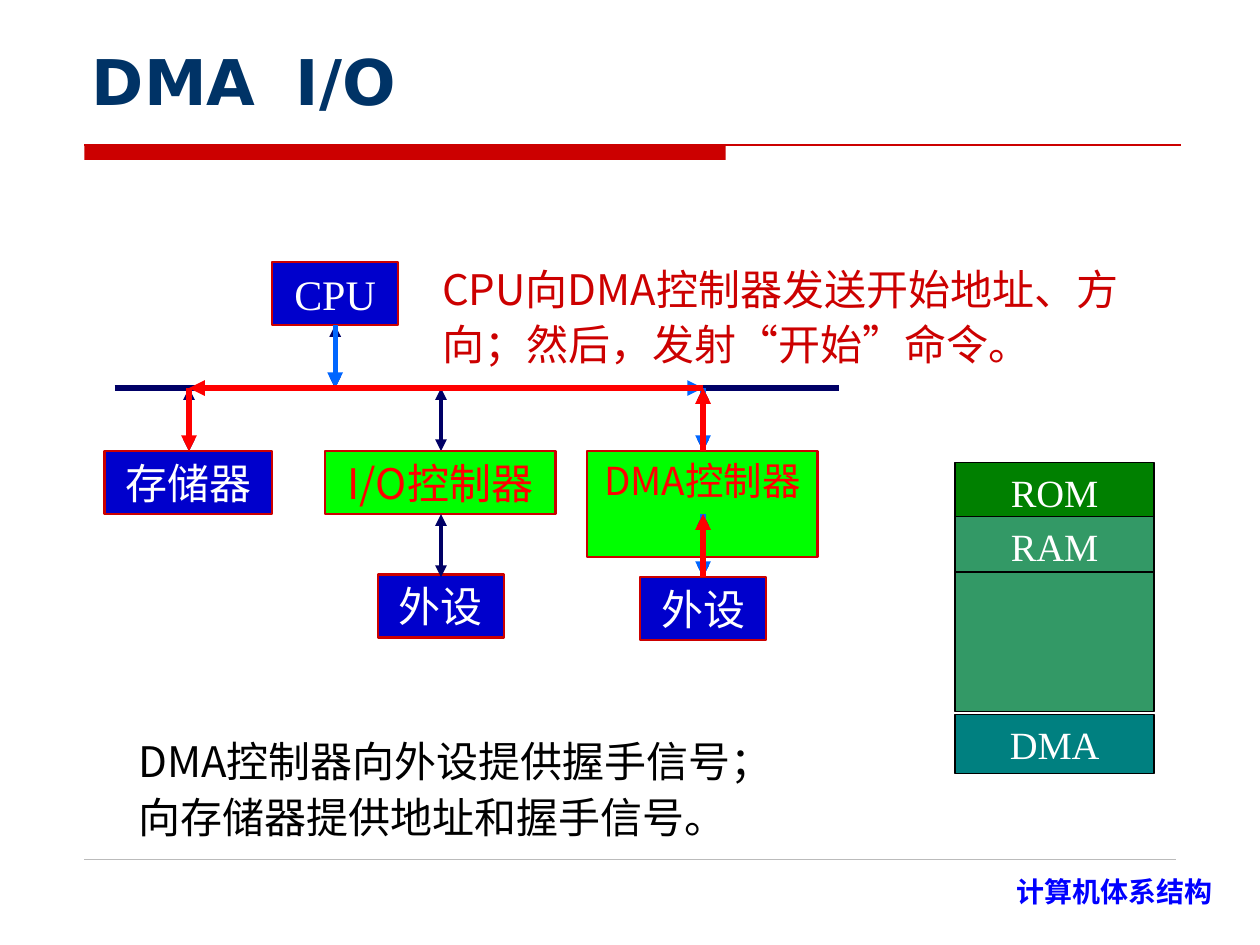
from lxml import etree
from pptx import Presentation
from pptx.dml.color import RGBColor
from pptx.enum import shapes, text
from pptx.oxml import ns
from pptx.util import Inches, Pt

HUES = {
    "title": "003366", "rule": "CC0000", "foot": "0000FF", "hair": "BBBBBB",
    "navy": "000066", "box": "0000CC", "lime": "00FF00", "red": "FF0000",
    "sky": "0066FF", "rom": "008000", "ram": "339966", "dma": "008080",
    "white": "FFFFFF", "black": "000000",
}
SERIF, SANS, HAN, HEAD = (
    "Times New Roman", "Noto Sans CJK JP", "Noto Sans CJK SC", "DejaVu Sans")
ALIGN = text.PP_ALIGN


def hue(name):
    return RGBColor.from_string(HUES[name])


def tag(parent, name, **attrs):
    return etree.SubElement(parent, ns.qn("a:" + name), **attrs)


class Board:
    def __init__(self, slide):
        self.slide = slide
        self.forms = slide.shapes

    def letter(self, shape, words, size, color, font=SANS, align=ALIGN.LEFT,
               bold=False, wrap=True, anchor=text.MSO_ANCHOR.TOP, space=1, tab=None):
        frame = shape.text_frame
        para = frame.paragraphs[0]
        if tab:
            stops = tag(para._p.get_or_add_pPr(), "tabLst")
            tag(stops, "tab", pos=str(Inches(tab)), algn="l")
        run = para.add_run()
        run.text = words
        looks = (
            (frame, {"word_wrap": wrap, "vertical_anchor": anchor}),
            (para, {"alignment": align, "line_spacing": space}),
            (run.font, {"size": Pt(size), "bold": bold, "name": font}),
        )
        for item, values in looks:
            for key, value in values.items():
                setattr(item, key, value)
        run.font.color.rgb = hue(color)
        tag(run._r.get_or_add_rPr(), "ea", typeface=SANS if font == SANS else HAN)

    def label(self, place, words, size, color, **style):
        shape = self.forms.add_textbox(*map(Inches, place))
        self.letter(shape, words, size, color, **style)

    def box(self, place, fill, edge=None, width=1.5, words="", size=24,
            color="white", font=SERIF):
        shape = self.forms.add_shape(
            shapes.MSO_SHAPE.RECTANGLE, *map(Inches, place))
        shape.shadow.inherit = False
        shape.fill.solid()
        shape.fill.fore_color.rgb = hue(fill)
        if edge:
            shape.line.color.rgb = hue(edge)
            shape.line.width = Pt(width)
        else:
            shape.line.fill.background()
        if words:
            self.letter(shape, words, size, color, font, ALIGN.CENTER, wrap=False)

    def link(self, start, end, color, width, ends=()):
        line = self.forms.add_connector(
            shapes.MSO_CONNECTOR.STRAIGHT, *map(Inches, (*start, *end)))
        line.line.color.rgb = hue(color)
        line.line.width = Pt(width)
        props = line._element.spPr
        for tip in ends:
            tag(props.find(ns.qn("a:ln")), tip, type="triangle")
        tag(props, "effectLst")


def main():
    deck = Presentation()
    deck.slide_width, deck.slide_height = Inches(10), Inches(7.5)
    board = Board(deck.slides.add_slide(deck.slide_layouts[6]))

    board.box((0.67, 1.15, 5.09, 0.12), "rule")
    board.link((0.67, 1.15), (9.37, 1.15), "rule", 0.75)
    board.link((0.67, 6.82), (9.33, 6.82), "hair", 0.25)
    board.label((7.27, 6.89, 2.45, 0.43), "计算机体系结构", 16, "foot",
                font=HAN, align=ALIGN.RIGHT, bold=True)
    board.label((0.63, 0.33, 8.75, 0.66), "DMA\tI/O", 36, "title", font=HEAD,
                bold=True, anchor=text.MSO_ANCHOR.BOTTOM, tab=1.62)

    bus, ctrl, port, dev = 3.08, 3.58, 4.08, 4.58
    cpu, mem, mid, dma = 2.66, 1.5, 3.5, 5.58
    both = ("headEnd", "tailEnd")
    board.link((0.91, bus), (6.66, bus), "navy", 3)
    for x, top in ((cpu, 2.58), (mem, bus), (mid, bus), (dma, bus)):
        board.link((x, top), (x, top + 0.5), "navy", 2.25, both)

    for x, y, wide, words in (
            (2.16, 2.08, 1, "CPU"), (0.83, ctrl, 1.33, "存储器"),
            (3, 4.56, 1, "外设"), (5.08, dev, 1, "外设")):
        board.box((x, y, wide, 0.5), "box", "rule", words=words)
    for x, high, words, size in (
            (2.58, 0.5, "I/O控制器", 24), (4.66, 0.84, "DMA控制器", 22)):
        board.box((x, ctrl, 1.83, high), "lime", "rule", words=words,
                  size=size, color="red", font=SANS)
    for x in (mid, dma):
        board.link((x, port), (x, dev), "navy", 2.25, both)

    board.label((3.41, 2, 5.58, 0.98),
                "CPU向DMA控制器发送开始地址、方向；然后，发射“开始”命令。",
                24, "rule", space=1.1)
    board.label((1, 5.75, 5.33, 0.98),
                "DMA控制器向外设提供握手信号；向存储器提供地址和握手信号。",
                24, "black", space=1.1)

    order = ((cpu, 2.58), (cpu, bus), (dma, bus), (dma, ctrl))
    data = ((dma, ctrl), (dma, bus), (mem, bus), (mem, ctrl))
    flows = (
        ("sky", order), ("sky", ((dma, port), (dma, dev))),
        ("red", ((dma, dev), (dma, port))), ("red", data),
    )
    for color, stops in flows:
        for start, end in zip(stops, stops[1:]):
            board.link(start, end, color, 3, ("tailEnd",))

    for y, high, fill, words in (
            (3.67, 0.47, "rom", "ROM"), (4.1, 0.47, "ram", "RAM"),
            (5.67, 0.47, "dma", "DMA"), (4.54, 1.11, "ram", "")):
        board.box((7.58, y, 1.58, high), fill, "black", 0.75, words, 22)

    deck.save("out.pptx")


if __name__ == "__main__":
    main()
